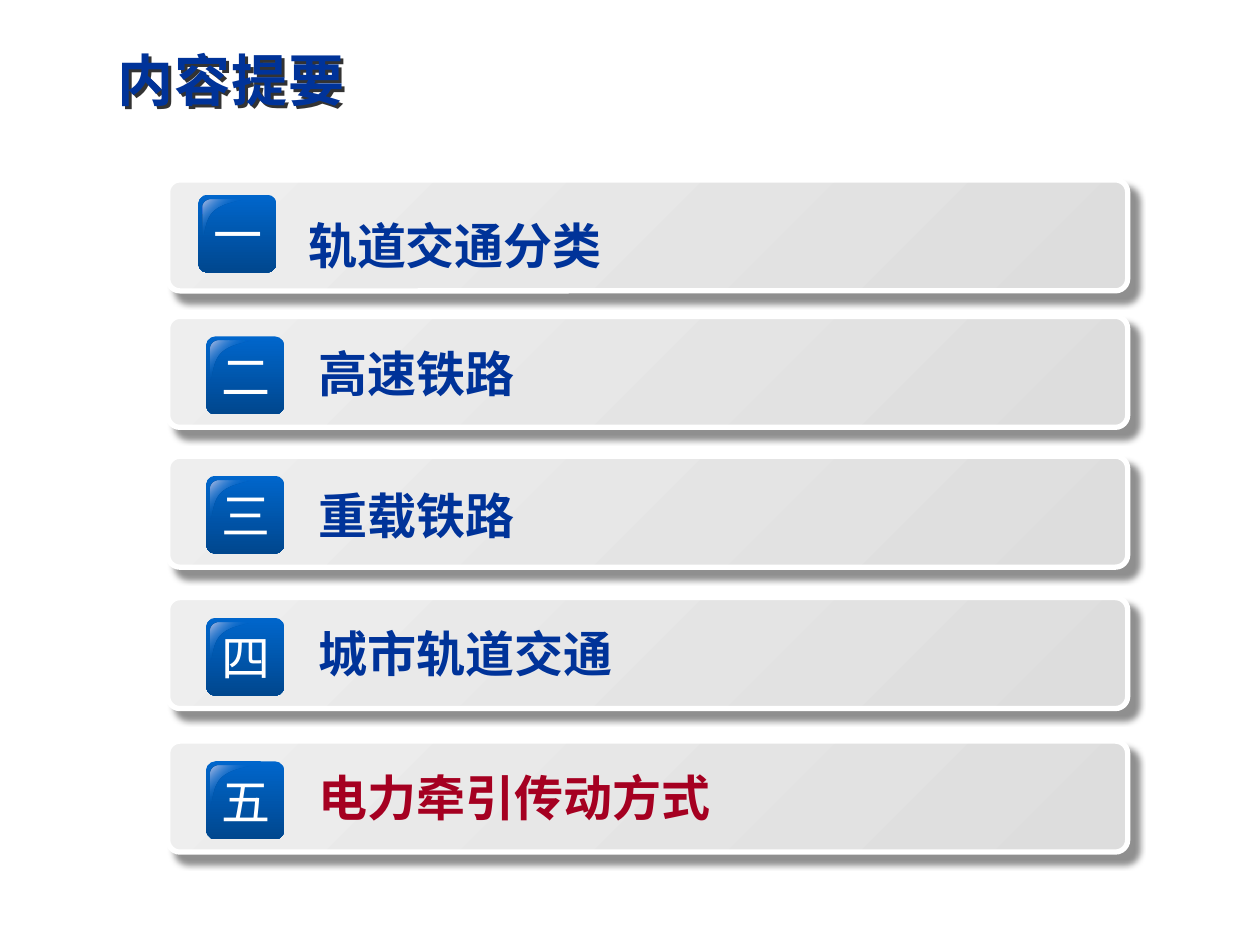
from copy import deepcopy

from lxml import etree
from pptx import Presentation
from pptx.dml.color import RGBColor
from pptx.enum.shapes import MSO_SHAPE
from pptx.enum.text import MSO_ANCHOR, MSO_AUTO_SIZE, PP_ALIGN
from pptx.oxml.ns import qn
from pptx.util import Pt

ROUNDED = MSO_SHAPE.ROUNDED_RECTANGLE
LEFT, CENTER = PP_ALIGN.LEFT, PP_ALIGN.CENTER
MIDDLE = MSO_ANCHOR.MIDDLE
FIT_SHAPE = MSO_AUTO_SIZE.SHAPE_TO_FIT_TEXT

NAVY = RGBColor(0x00, 0x33, 0x99)
CRIMSON = RGBColor(0xA5, 0x00, 0x21)
WHITE = RGBColor(0xFF, 0xFF, 0xFF)
BAR_LIGHT = RGBColor(0xEE, 0xEE, 0xEE)
BAR_DARK = RGBColor(0xDD, 0xDD, 0xDD)
BADGE_TOP = RGBColor(0x00, 0x66, 0xCC)
BADGE_BOTTOM = RGBColor(0x00, 0x47, 0x8E)
GLOSS = RGBColor(0xB5, 0xC0, 0xE5)
FONT = "Noto Sans CJK SC"

TITLE = "内容提要"
# numeral, topic, colour, bar top, badge left, badge top, topic left, topic top
TOPICS = [
    ("一", "轨道交通分类", NAVY, 102.8, 113.3, 111.2, 169, 119.4),
    ("二", "高速铁路", NAVY, 180.8, 117.8, 192.2, 175, 193),
    ("三", "重载铁路", NAVY, 260.7, 117.8, 271.8, 175, 273.8),
    ("四", "城市轨道交通", NAVY, 341.5, 117.8, 353, 175, 352.8),
    ("五", "电力牵引传动方式", CRIMSON, 423.5, 117.8, 435, 175, 435),
]
BAR_LEFT, BAR_WIDTH, BAR_HEIGHT = 95.8, 548.6, 63.4
BADGE_SIZE = 44.6
TOPIC_WIDTH, TEXT_HEIGHT = 439, 41
GLOSS_OFFSET = 2.7
GLOSS_START = (4.8, 0)
GLOSS_SEGMENTS = [
    [(2.1, 0), (0, 2.1), (0, 4.5)],
    [(0, 22)],
    [(1.5, 22.4), (0.7, 11.5), (6.5, 6.5)],
    [(12, 1.4), (22.3, 1), (22.3, 0)],
]


def add_shadow(effects, blur, distance, opacity):
    shadow = etree.SubElement(
        effects, qn("a:outerShdw"), blurRad=str(Pt(blur)), dist=str(Pt(distance)),
        dir="2700000", algn="ctr", rotWithShape="0")
    colour = etree.SubElement(shadow, qn("a:srgbClr"), val="000000")
    etree.SubElement(colour, qn("a:alpha"), val=str(opacity * 1000))


def fill_gradient(shape, first, last, angle):
    shape.shadow.inherit = False
    shape.line.fill.background()
    shape.fill.gradient()
    shape.fill.gradient_angle = 360 - angle
    for stop, colour in zip(shape.fill.gradient_stops, (first, last)):
        stop.color.rgb = colour


def add_run(paragraph, text, size, colour, bold=False):
    run = paragraph.add_run()
    run.text = text
    run.font.size = Pt(size)
    run.font.bold = bold
    run.font.color.rgb = colour
    run.font.name = FONT
    properties = run.font._element
    etree.SubElement(properties, qn("a:ea"), typeface=FONT)
    return properties


def add_label(shapes, text, left, top, width, colour, bold, align, wrap):
    label = shapes.add_textbox(Pt(left), Pt(top), Pt(width), Pt(TEXT_HEIGHT))
    label.text_frame.word_wrap = wrap
    label.text_frame.auto_size = FIT_SHAPE
    paragraph = label.text_frame.paragraphs[0]
    paragraph.alignment = align
    add_run(paragraph, text, 28, colour, bold)


def add_bar(shapes, top):
    bar = shapes.add_shape(ROUNDED, Pt(BAR_LEFT), Pt(top), Pt(BAR_WIDTH), Pt(BAR_HEIGHT))
    bar.adjustments[0] = 0.11
    fill_gradient(bar, BAR_LIGHT, BAR_DARK, 45)
    bar.line.color.rgb = WHITE
    bar.line.width = Pt(3)
    add_shadow(bar._element.spPr.find(qn("a:effectLst")), 4, 7, 44)


def add_gloss(shapes, left, top):
    def place(point):
        return Pt(left + point[0]), Pt(top + point[1])

    builder = shapes.build_freeform(*place(GLOSS_START))
    for segment in GLOSS_SEGMENTS:
        builder.add_line_segments([place(point) for point in segment], close=False)
    builder.add_line_segments([place(GLOSS_START)], close=True)
    gloss = builder.convert_to_shape()

    lines = iter(list(gloss._element.iter(qn("a:lnTo"))))
    for segment in GLOSS_SEGMENTS:
        steps = [next(lines) for _ in segment]
        if len(steps) == 3:
            curve = etree.Element(qn("a:cubicBezTo"))
            steps[0].addprevious(curve)
            for step in steps:
                curve.append(step[0])
                step.getparent().remove(step)

    fill_gradient(gloss, GLOSS, BADGE_TOP, 45)
    stops = gloss._element.spPr.find(qn("a:gradFill")).find(qn("a:gsLst"))
    outer, clear = stops
    end = deepcopy(outer)
    end.set("pos", "100000")
    stops.append(end)
    clear.set("pos", "50000")
    etree.SubElement(clear[0], qn("a:alpha"), val="0")


def add_badge(shapes, numeral, left, top):
    badge = shapes.add_group_shape().shapes
    tile = badge.add_shape(ROUNDED, Pt(left), Pt(top), Pt(BADGE_SIZE), Pt(BADGE_SIZE))
    tile.adjustments[0] = 0.12
    fill_gradient(tile, BADGE_TOP, BADGE_BOTTOM, 90)
    add_gloss(badge, left + GLOSS_OFFSET, top + GLOSS_OFFSET)
    add_label(badge, numeral, left + 1, top + 2.3, 43.2, WHITE, False, CENTER, False)


def add_title(slide):
    title = slide.shapes.title
    title.left, title.top, title.width, title.height = Pt(60), Pt(17.3), Pt(624), Pt(55.4)
    title.text_frame.vertical_anchor = MIDDLE
    paragraph = title.text_frame.paragraphs[0]
    paragraph.alignment = LEFT
    properties = add_run(paragraph, TITLE, 32, NAVY, True)
    properties.set("spc", "50")
    title.fill.background()
    title.shadow.inherit = False
    add_shadow(title._element.spPr.find(qn("a:effectLst")), 0, 2.4, 80)


def main():
    deck = Presentation()
    deck.slide_width, deck.slide_height = Pt(720), Pt(540)
    slide = deck.slides.add_slide(deck.slide_layouts[5])
    add_title(slide)
    for (numeral, topic, colour, bar_top, badge_left, badge_top,
         topic_left, topic_top) in TOPICS:
        add_bar(slide.shapes, bar_top)
        add_badge(slide.shapes, numeral, badge_left, badge_top)
        add_label(slide.shapes, topic, topic_left, topic_top,
                  TOPIC_WIDTH, colour, True, LEFT, True)
    deck.save("out.pptx")


if __name__ == "__main__":
    main()
